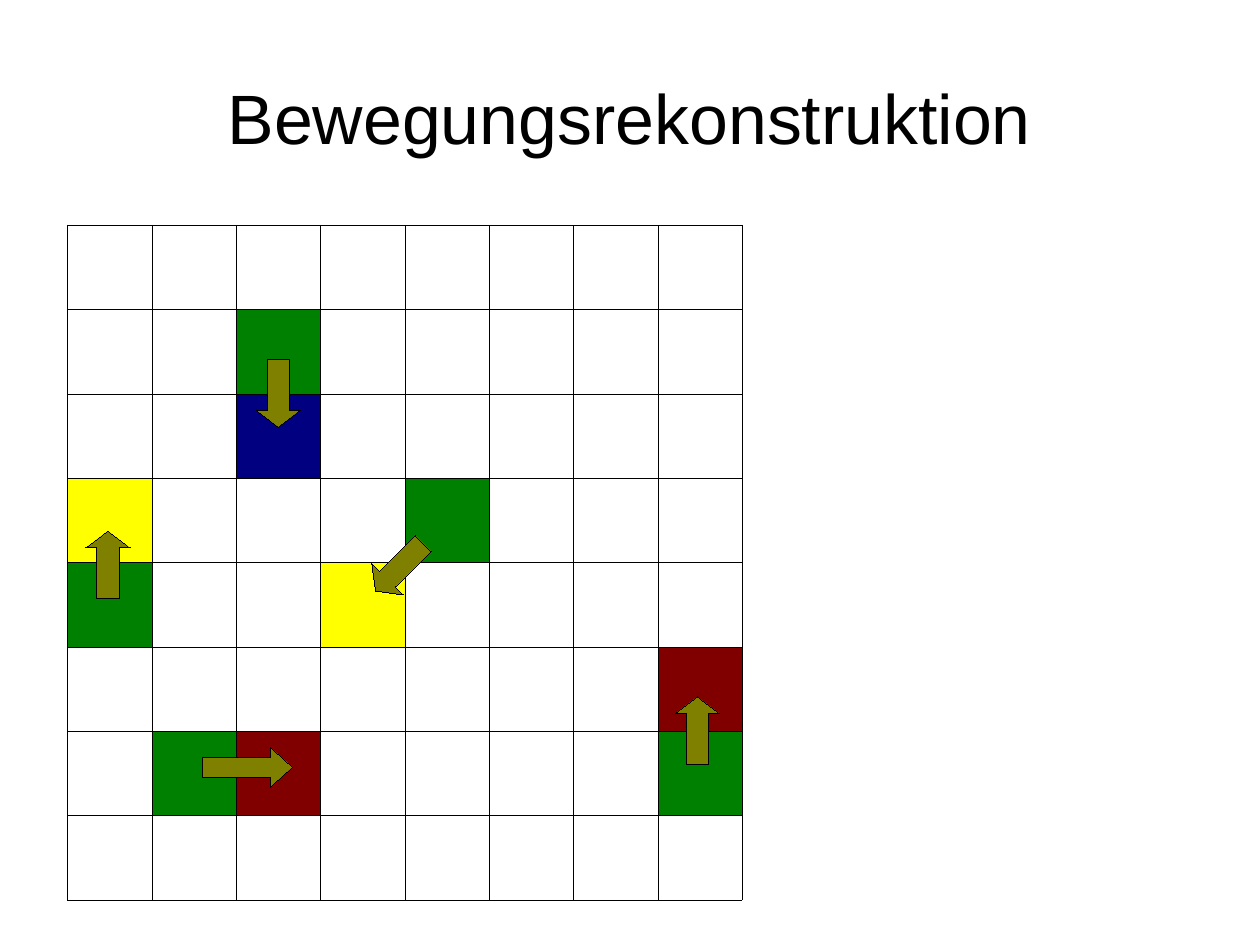
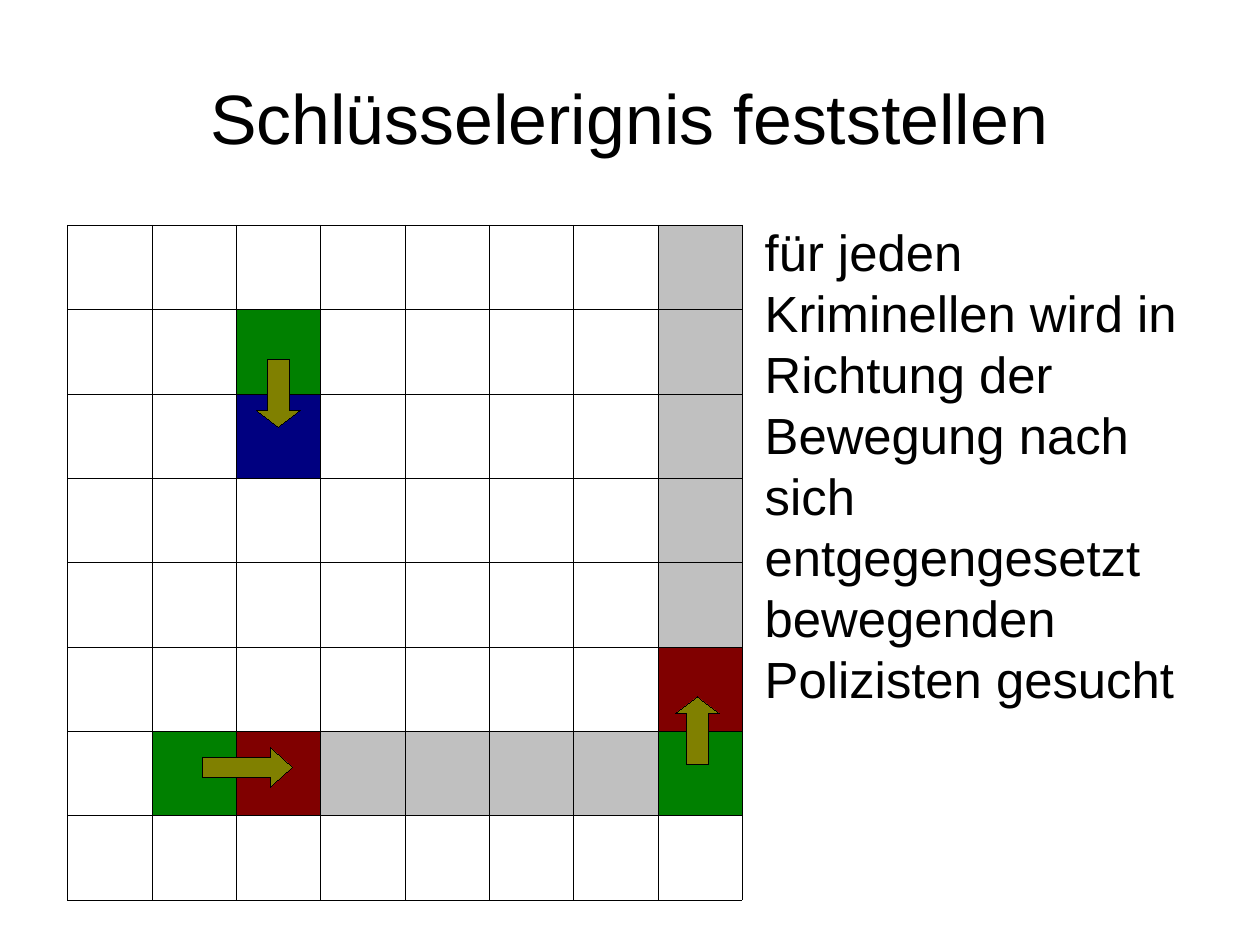
from lxml import etree
from pptx import Presentation
from pptx.dml.color import RGBColor
from pptx.enum.shapes import MSO_SHAPE
from pptx.enum.text import MSO_ANCHOR, PP_ALIGN
from pptx.oxml.ns import qn
from pptx.util import Pt

UP, DOWN, RIGHT = MSO_SHAPE.UP_ARROW, MSO_SHAPE.DOWN_ARROW, MSO_SHAPE.RIGHT_ARROW
MIDDLE, TOP = MSO_ANCHOR.MIDDLE, MSO_ANCHOR.TOP
CENTER, LEFT = PP_ALIGN.CENTER, PP_ALIGN.LEFT

FONT = "Arial"
BLACK, OLIVE = "000000", "808000"
HUES = {".": "FFFFFF", "G": "008000", "B": "000080", "Y": "FFFF00",
        "R": "800000", "S": "C0C0C0"}
TITLE = (39.6, 23.8, 714.2, 99.4)
BOARD = (42.5, 141.7, 425, 425)
BODY = (481.7, 139, 272.2, 427.7)

TALL, WIDE = (28, 42.5, 0.38), (56.9, 25.2, 0.56)
EAST = (RIGHT, 84.9, 328.9, WIDE, 0)
SOUTH = (DOWN, 118.8, 84.8, TALL, 0)
NORTH = (UP, 382.8, 297.2, TALL, 0)
WEST = (UP, 11.5, 192.8, TALL, 0)
SLANT = (DOWN, 195.1, 194.4, TALL, 45)

MOVES = """
........
..G.....
..B.....
Y...G...
G..Y....
.......R
.GR....G
........
""".split()

SEARCH = """
.......S
..G....S
..B....S
.......S
.......S
.......R
.GRSSSSG
........
""".split()


def color(code):
    """Turn a hex string into a colour."""
    return RGBColor.from_string(code)


def write(slide, box, text, size, align, anchor):
    """Place a block of text in the box."""
    frame = slide.shapes.add_textbox(*map(Pt, box)).text_frame
    frame.word_wrap = True
    frame.vertical_anchor = anchor
    frame.margin_left = frame.margin_right = 0
    frame.margin_top = frame.margin_bottom = 0
    para = frame.paragraphs[0]
    para.text = text
    para.alignment = align
    para.line_spacing = Pt(size * 1.2)
    para.font.name = FONT
    para.font.size = Pt(size)
    para.font.color.rgb = color(BLACK)


def border(cell):
    """Draw a hairline on all four sides of a cell."""
    props = cell._tc.get_or_add_tcPr()
    for side in ("a:lnL", "a:lnR", "a:lnT", "a:lnB"):
        line = etree.SubElement(props, qn(side), w=str(Pt(0.06)))
        fill = etree.SubElement(line, qn("a:solidFill"))
        etree.SubElement(fill, qn("a:srgbClr"), val=BLACK)


def draw_grid(slide, box, rows):
    """Fill the box with a table whose cells are coloured by letter."""
    count = len(rows)
    table = slide.shapes.add_table(count, count, *map(Pt, box)).table
    table.first_row = table.horz_banding = False
    for col in table.columns:
        col.width = Pt(box[2] / count)
    for y, row in enumerate(rows):
        table.rows[y].height = Pt(box[3] / count)
        for x, key in enumerate(row):
            cell = table.cell(y, x)
            border(cell)
            cell.fill.solid()
            cell.fill.fore_color.rgb = color(HUES[key])


def draw_arrow(slide, box, kind, x, y, form, turn):
    """Place one block arrow relative to the box."""
    width, height, head = form
    arrow = slide.shapes.add_shape(
        kind, Pt(box[0] + x), Pt(box[1] + y), Pt(width), Pt(height))
    arrow.adjustments[0] = 0.5
    arrow.adjustments[1] = head
    arrow.rotation = turn
    arrow.shadow.inherit = False
    arrow.fill.solid()
    arrow.fill.fore_color.rgb = color(OLIVE)
    arrow.line.color.rgb = color(BLACK)
    arrow.line.width = Pt(0.01)


def add_board(deck, title, rows, arrows):
    """Add a slide with a title, a grid and its arrows."""
    slide = deck.slides.add_slide(deck.slide_layouts[6])
    write(slide, TITLE, title, 44, CENTER, MIDDLE)
    draw_grid(slide, BOARD, rows)
    for arrow in arrows:
        draw_arrow(slide, BOARD, *arrow)
    return slide


def main():
    """Build and save the deck."""
    deck = Presentation()
    deck.slide_width, deck.slide_height = Pt(793.7), Pt(595.28)
    add_board(deck, "Bewegungsrekonstruktion", MOVES,
              [EAST, WEST, SOUTH, NORTH, SLANT])
    slide = add_board(deck, "Schlüsselerignis feststellen", SEARCH,
                      [EAST, SOUTH, NORTH])
    write(slide, BODY,
          "für jeden Kriminellen wird in Richtung der Bewegung nach sich "
          "entgegengesetzt bewegenden Polizisten gesucht", 32, LEFT, TOP)
    deck.save("out.pptx")


if __name__ == "__main__":
    main()
